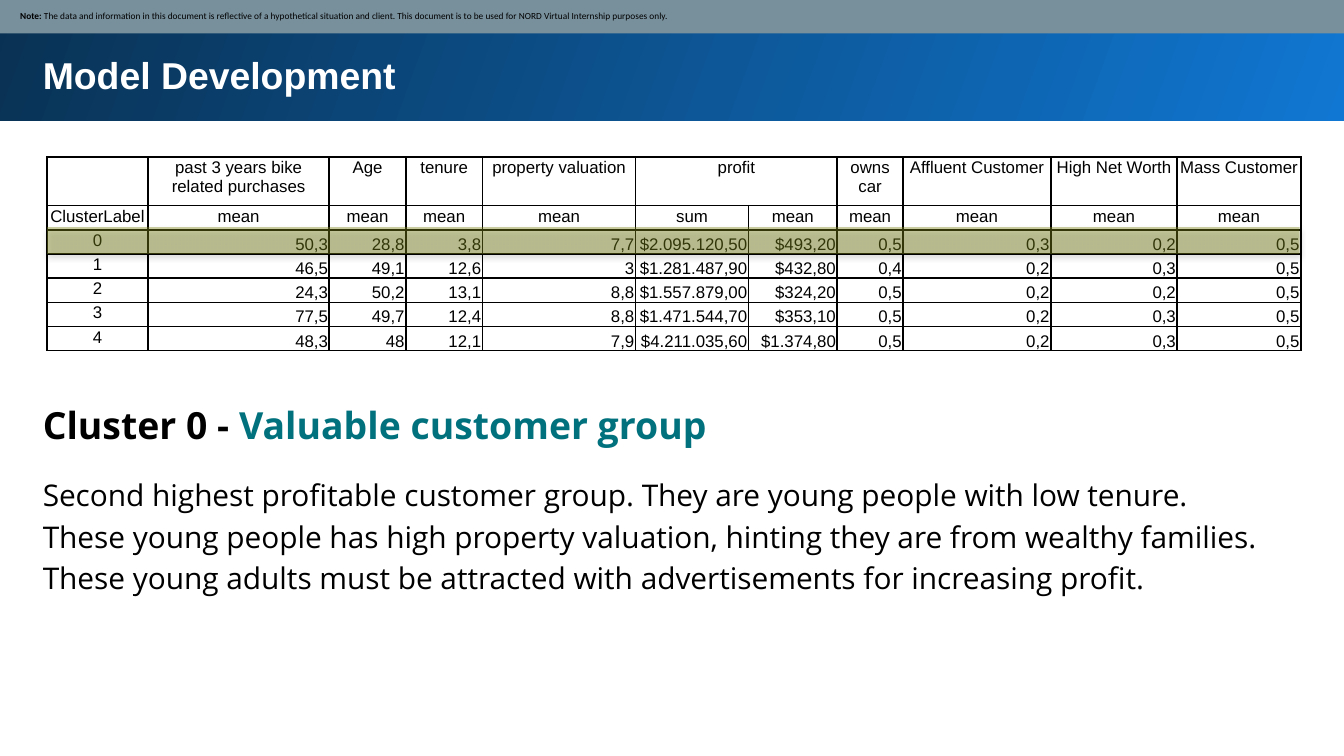
from dataclasses import dataclass

from lxml import etree
from pptx import Presentation
from pptx.dml.color import RGBColor
from pptx.enum.shapes import MSO_SHAPE
from pptx.enum.text import MSO_ANCHOR, MSO_AUTO_SIZE, PP_ALIGN
from pptx.oxml.ns import qn
from pptx.util import Inches, Pt

RECT = MSO_SHAPE.RECTANGLE
LEFT, CENTER, RIGHT = PP_ALIGN.LEFT, PP_ALIGN.CENTER, PP_ALIGN.RIGHT
TOP, MIDDLE, BOTTOM = MSO_ANCHOR.TOP, MSO_ANCHOR.MIDDLE, MSO_ANCHOR.BOTTOM
GROW = MSO_AUTO_SIZE.SHAPE_TO_FIT_TEXT

COLORS = {
    "black": "000000",
    "white": "FFFFFF",
    "teal": "00717D",
    "note_bar": "78909C",
    "banner_light": "1077D2",
    "banner_dark": "093153",
    "highlight": "7D8818",
}


@dataclass
class Box:
    left: float
    top: float
    width: float
    height: float

    def emu(self) -> tuple:
        return tuple(Inches(v) for v in (self.left, self.top, self.width, self.height))


@dataclass
class Run:
    text: str
    bold: bool = False
    color: str = "black"


TABLE_BOX = Box(0.35, 1.17, 9.32, 1.42)
COL_WIDTHS = [0.75, 1.35, 0.57, 0.57, 1.14, 0.84, 0.66, 0.49, 1.1, 0.94, 0.92]
ROW_HEIGHTS = [0.36] + [0.18] * 6
HEADER_ROWS = 2
PROFIT_COL = 5
ROWS = [
    ["", "past 3 years bike related purchases", "Age", "tenure", "property valuation",
     "profit", "", "owns car", "Affluent Customer", "High Net Worth", "Mass Customer"],
    ["ClusterLabel"] + ["mean"] * 4 + ["sum"] + ["mean"] * 5,
    ["0", "50,3", "28,8", "3,8", "7,7", "$2.095.120,50", "$493,20", "0,5", "0,3", "0,2", "0,5"],
    ["1", "46,5", "49,1", "12,6", "3", "$1.281.487,90", "$432,80", "0,4", "0,2", "0,3", "0,5"],
    ["2", "24,3", "50,2", "13,1", "8,8", "$1.557.879,00", "$324,20", "0,5", "0,2", "0,2", "0,5"],
    ["3", "77,5", "49,7", "12,4", "8,8", "$1.471.544,70", "$353,10", "0,5", "0,2", "0,3", "0,5"],
    ["4", "48,3", "48", "12,1", "7,9", "$4.211.035,60", "$1.374,80", "0,5", "0,2", "0,3", "0,5"],
]


def rgb(name: str) -> RGBColor:
    return RGBColor.from_string(COLORS[name])


def write(tf, runs: list[Run], *, size: float, font: str, align=LEFT, spacing=None) -> None:
    p = tf.paragraphs[0]
    p.alignment = align
    if spacing:
        p.line_spacing = spacing
    for run in runs:
        r = p.add_run()
        r.text = run.text
        r.font.size, r.font.name, r.font.bold = Pt(size), font, run.bold
        r.font.color.rgb = rgb(run.color)


def set_insets(target, left: float, top: float, right: float, bottom: float) -> None:
    target.margin_left, target.margin_top = Inches(left), Inches(top)
    target.margin_right, target.margin_bottom = Inches(right), Inches(bottom)


def add_rect(s, box: Box):
    sp = s.shapes.add_shape(RECT, *box.emu())
    sp.shadow.inherit = False
    sp.line.fill.background()
    return sp


def add_text(s, box: Box, runs: list[Run], **fmt) -> None:
    tf = s.shapes.add_textbox(*box.emu()).text_frame
    tf.word_wrap = True
    tf.auto_size = GROW
    set_insets(tf, 0.1, 0.1, 0.1, 0.1)
    write(tf, runs, **fmt)


def add_banner(s) -> None:
    sp = add_rect(s, Box(-0.02, -0.02, 10.05, 0.92))
    sp.fill.gradient()
    sp.fill.gradient_angle = 160
    for stop, name in zip(sp.fill.gradient_stops, ("banner_light", "banner_dark")):
        stop.color.rgb = rgb(name)


def add_note_bar(s) -> None:
    sp = add_rect(s, Box(-0.01, -0.01, 10.03, 0.26))
    sp.fill.solid()
    sp.fill.fore_color.rgb = rgb("note_bar")
    tf = sp.text_frame
    tf.word_wrap = True
    tf.vertical_anchor = MIDDLE
    set_insets(tf, 0.16, 0.05, 0.05, 0.05)
    note = ("The data and information in this document is reflective of a hypothetical "
            "situation and client. This document is to be used for NORD Virtual "
            "Internship purposes only.")
    write(tf, [Run("Note: ", bold=True), Run(note)], size=5, font="Calibri")


def set_borders(cell) -> None:
    tc_pr = cell._tc.get_or_add_tcPr()
    for side in ("a:lnL", "a:lnR", "a:lnT", "a:lnB"):
        ln = etree.SubElement(tc_pr, qn(side), w=str(Pt(1)))
        fill = etree.SubElement(ln, qn("a:solidFill"))
        etree.SubElement(fill, qn("a:srgbClr"), val=COLORS["black"])


def add_cluster_table(s) -> None:
    table = s.shapes.add_table(len(ROWS), len(COL_WIDTHS), *TABLE_BOX.emu()).table
    table.first_row = table.horz_banding = False
    for col, width in zip(table.columns, COL_WIDTHS):
        col.width = Inches(width)
    for row, height in zip(table.rows, ROW_HEIGHTS):
        row.height = Inches(height)
    for i, texts in enumerate(ROWS):
        for j, text in enumerate(texts):
            cell = table.cell(i, j)
            is_value = i >= HEADER_ROWS and j > 0
            set_insets(cell, 0.01, 0.01, 0.01, 0)
            cell.vertical_anchor = BOTTOM if is_value else TOP
            set_borders(cell)
            cell.fill.background()
            if text:
                write(cell.text_frame, [Run(text)], size=9, font="Arial",
                      align=RIGHT if is_value else CENTER)
    table.cell(0, PROFIT_COL).merge(table.cell(0, PROFIT_COL + 1))


def add_highlight(s) -> None:
    """Cover the row of cluster 0 with a translucent band that casts a soft shadow."""
    sp = add_rect(s, Box(TABLE_BOX.left, 1.69, TABLE_BOX.width, 0.2))
    sp.fill.solid()
    sp.fill.fore_color.rgb = rgb("highlight")
    fill_color = sp._element.spPr.find(qn("a:solidFill"))[0]
    etree.SubElement(fill_color, qn("a:alpha"), val="40000")
    effects = sp._element.spPr.find(qn("a:effectLst"))
    shadow = etree.SubElement(effects, qn("a:outerShdw"), blurRad=str(Pt(3)),
                              dist=str(Pt(1.8)), dir="5400000", rotWithShape="0")
    shadow_color = etree.SubElement(shadow, qn("a:srgbClr"), val=COLORS["black"])
    etree.SubElement(shadow_color, qn("a:alpha"), val="35000")


def main() -> None:
    prs = Presentation()
    prs.slide_width = Inches(10)
    prs.slide_height = prs.slide_width * 9 // 16
    s = prs.slides.add_slide(prs.slide_layouts[6])

    add_banner(s)
    add_text(s, Box(0.22, 0.29, 9.37, 0.54),
             [Run("Model Development", bold=True, color="white")], size=20, font="Arial")
    add_text(s, Box(0.22, 2.84, 9.37, 0.56),
             [Run("Cluster 0 - ", bold=True),
              Run("Valuable customer group", bold=True, color="teal")],
             size=20, font="Open Sans", spacing=1.15)
    add_note_bar(s)
    add_cluster_table(s)
    summary = ("Second highest profitable customer group. They are young people with low "
               "tenure. These young people has high property valuation, hinting they are "
               "from wealthy families. These young adults must be attracted with "
               "advertisements for increasing profit.")
    add_text(s, Box(0.22, 3.41, 9.37, 1.11), [Run(summary)],
             size=16, font="Open Sans", spacing=1.15)
    add_highlight(s)

    prs.save("out.pptx")


if __name__ == "__main__":
    main()
